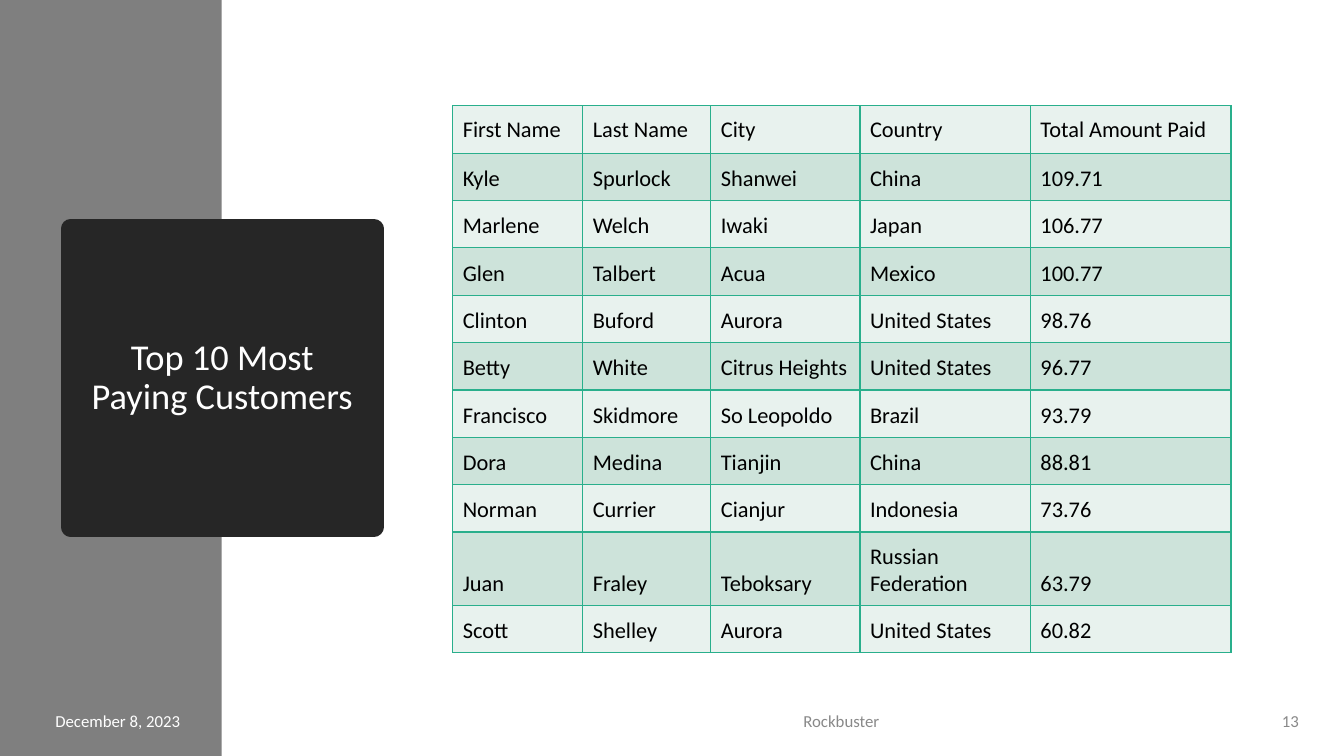
from lxml import etree
from pptx import Presentation
from pptx.dml.color import RGBColor
from pptx.enum.shapes import MSO_SHAPE
from pptx.enum.text import MSO_ANCHOR, PP_ALIGN
from pptx.oxml.ns import qn
from pptx.util import Inches, Pt

RECT = MSO_SHAPE.RECTANGLE
MIDDLE, BOTTOM = MSO_ANCHOR.MIDDLE, MSO_ANCHOR.BOTTOM
LEFT, CENTER, RIGHT, JUSTIFY = PP_ALIGN.LEFT, PP_ALIGN.CENTER, PP_ALIGN.RIGHT, PP_ALIGN.JUSTIFY

W, H = 13.33, 7.5
FONT = "Calibri"
BLACK, WHITE, GRAY, CHARCOAL, MUTED = "000000", "FFFFFF", "7F7F7F", "262626", "898989"
BORDER = "29AF8C"
BANDS = ("E8F2EE", "CDE3DA")

TITLE = "Top 10 Most Paying Customers"
CUSTOMERS = [
    ("First Name", "Last Name", "City", "Country", "Total Amount Paid"),
    ("Kyle", "Spurlock", "Shanwei", "China", "109.71"),
    ("Marlene", "Welch", "Iwaki", "Japan", "106.77"),
    ("Glen", "Talbert", "Acua", "Mexico", "100.77"),
    ("Clinton", "Buford", "Aurora", "United States", "98.76"),
    ("Betty", "White", "Citrus Heights", "United States", "96.77"),
    ("Francisco", "Skidmore", "So Leopoldo", "Brazil", "93.79"),
    ("Dora", "Medina", "Tianjin", "China", "88.81"),
    ("Norman", "Currier", "Cianjur", "Indonesia", "73.76"),
    ("Juan", "Fraley", "Teboksary", "Russian Federation", "63.79"),
    ("Scott", "Shelley", "Aurora", "United States", "60.82"),
]
COL_WIDTHS = (1.29, 1.27, 1.48, 1.69, 1.99)
ROW_HEIGHT, TALL_ROW_HEIGHT, TALL_ROW = 0.47, 0.73, 9
TABLE_LEFT, TABLE_TOP = 4.49, 1.05
FOOTER_TOP, FOOTER_HEIGHT = 6.95, 0.4
FOOTERS = [  # text, left, width, alignment, colour
    ("December 8, 2023", 0.45, 1.62, LEFT, WHITE),
    ("Rockbuster", 4.5, 7.69, CENTER, MUTED),
    ("13", 12.37, 0.61, RIGHT, MUTED),
]


def rgb(color):
    return RGBColor.from_string(color)


def write(tf, text, size, color, align, spacing=None, after=None):
    tf.word_wrap = True
    p = tf.paragraphs[0]
    p.alignment = align
    if spacing is not None:
        p.line_spacing = spacing
    if after is not None:
        p.space_after = Pt(after)
    r = p.add_run()
    r.text = text
    r.font.name, r.font.size = FONT, Pt(size)
    r.font.color.rgb = rgb(color)


def add_panel(s, left, top, width, height, color):
    sp = s.shapes.add_shape(RECT, *map(Inches, (left, top, width, height)))
    sp.shadow.inherit = False
    sp.fill.solid()
    sp.fill.fore_color.rgb = rgb(color)
    sp.line.fill.background()
    return sp


def add_title(s):
    """Dark block whose thick, round-joined outline softens its corners."""
    sp = add_panel(s, 0.7, 2.27, 3.01, 2.96, CHARCOAL)
    sp.line.color.rgb = rgb(CHARCOAL)
    sp.line.width = Pt(13.75)
    etree.SubElement(sp.line._get_or_add_ln(), qn("a:round"))
    sp.text_frame.vertical_anchor = MIDDLE
    write(sp.text_frame, TITLE, 26, WHITE, CENTER, spacing=0.9)


def set_borders(cell):
    tc_pr = cell._tc.get_or_add_tcPr()
    for i, side in enumerate(("lnL", "lnR", "lnT", "lnB")):
        ln = etree.Element(qn(f"a:{side}"), w=str(Pt(1)))
        fill = etree.SubElement(ln, qn("a:solidFill"))
        etree.SubElement(fill, qn("a:srgbClr"), val=BORDER)
        tc_pr.insert(i, ln)


def add_customers(s):
    heights = [TALL_ROW_HEIGHT if i == TALL_ROW else ROW_HEIGHT for i in range(len(CUSTOMERS))]
    box = (TABLE_LEFT, TABLE_TOP, sum(COL_WIDTHS), sum(heights))
    table = s.shapes.add_table(len(heights), len(COL_WIDTHS), *map(Inches, box)).table
    for col, width in zip(table.columns, COL_WIDTHS):
        col.width = Inches(width)
    for i, (row, height) in enumerate(zip(table.rows, heights)):
        row.height = Inches(height)
        for cell, text in zip(row.cells, CUSTOMERS[i]):
            cell.fill.solid()
            cell.fill.fore_color.rgb = rgb(BANDS[i % 2])
            cell.margin_left, cell.margin_right = Inches(0.1), Inches(0.01)
            cell.margin_top = cell.margin_bottom = Inches(0.08)
            cell.vertical_anchor = BOTTOM if i else MIDDLE
            write(cell.text_frame, text, 16, BLACK, JUSTIFY)
            set_borders(cell)


def main():
    prs = Presentation()
    prs.slide_width, prs.slide_height = Inches(W), Inches(H)
    s = prs.slides.add_slide(prs.slide_layouts[6])
    s.background.fill.solid()
    s.background.fill.fore_color.rgb = rgb(BLACK)
    add_panel(s, 0, 0, W, H, WHITE)
    add_panel(s, 0, 0, W * 0.165, H, GRAY)
    add_title(s)
    for text, left, width, align, color in FOOTERS:
        box = (left, FOOTER_TOP, width, FOOTER_HEIGHT)
        tf = s.shapes.add_textbox(*map(Inches, box)).text_frame
        tf.vertical_anchor = MIDDLE
        write(tf, text, 12, color, align, after=6)
    add_customers(s)
    prs.save("out.pptx")


if __name__ == "__main__":
    main()
